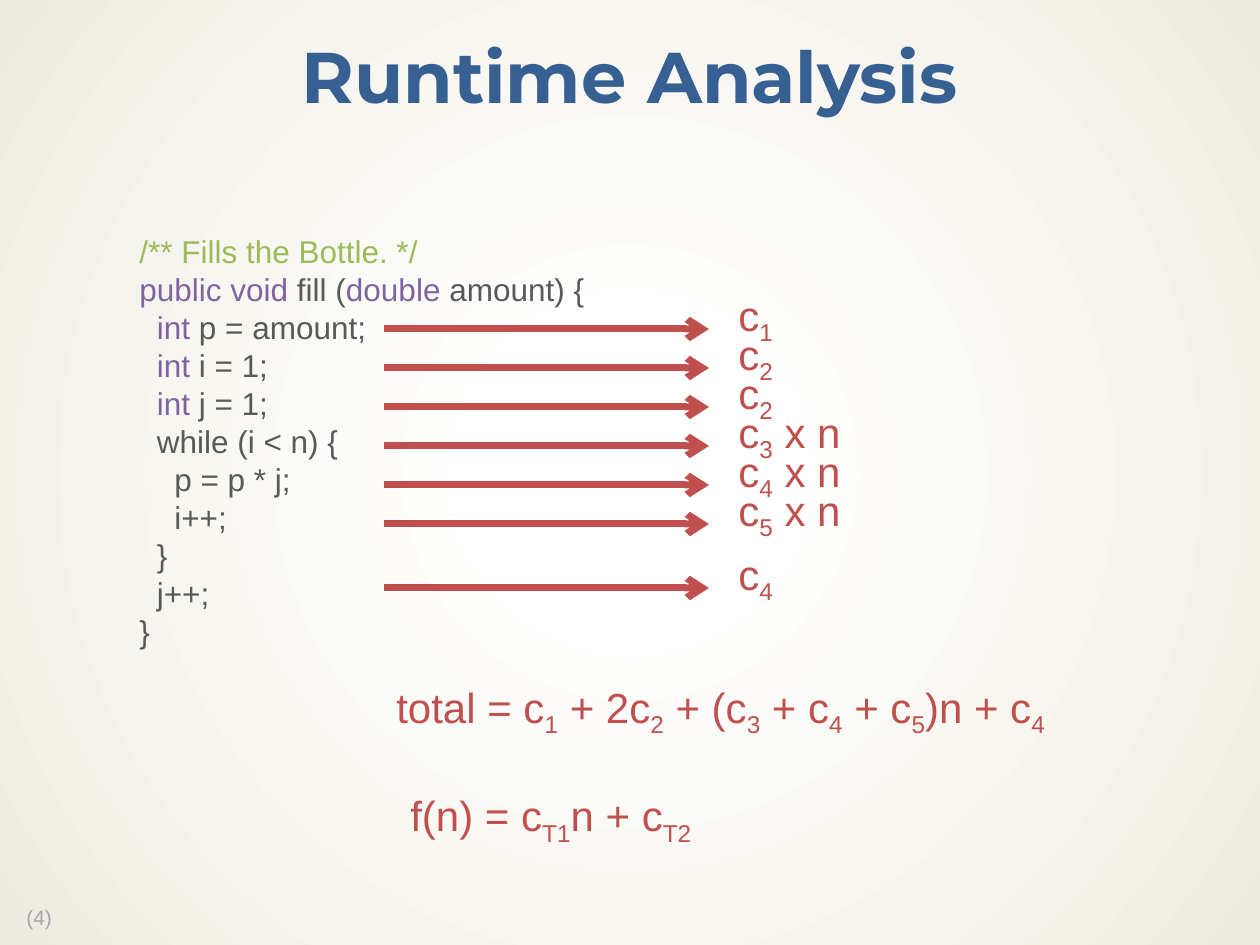
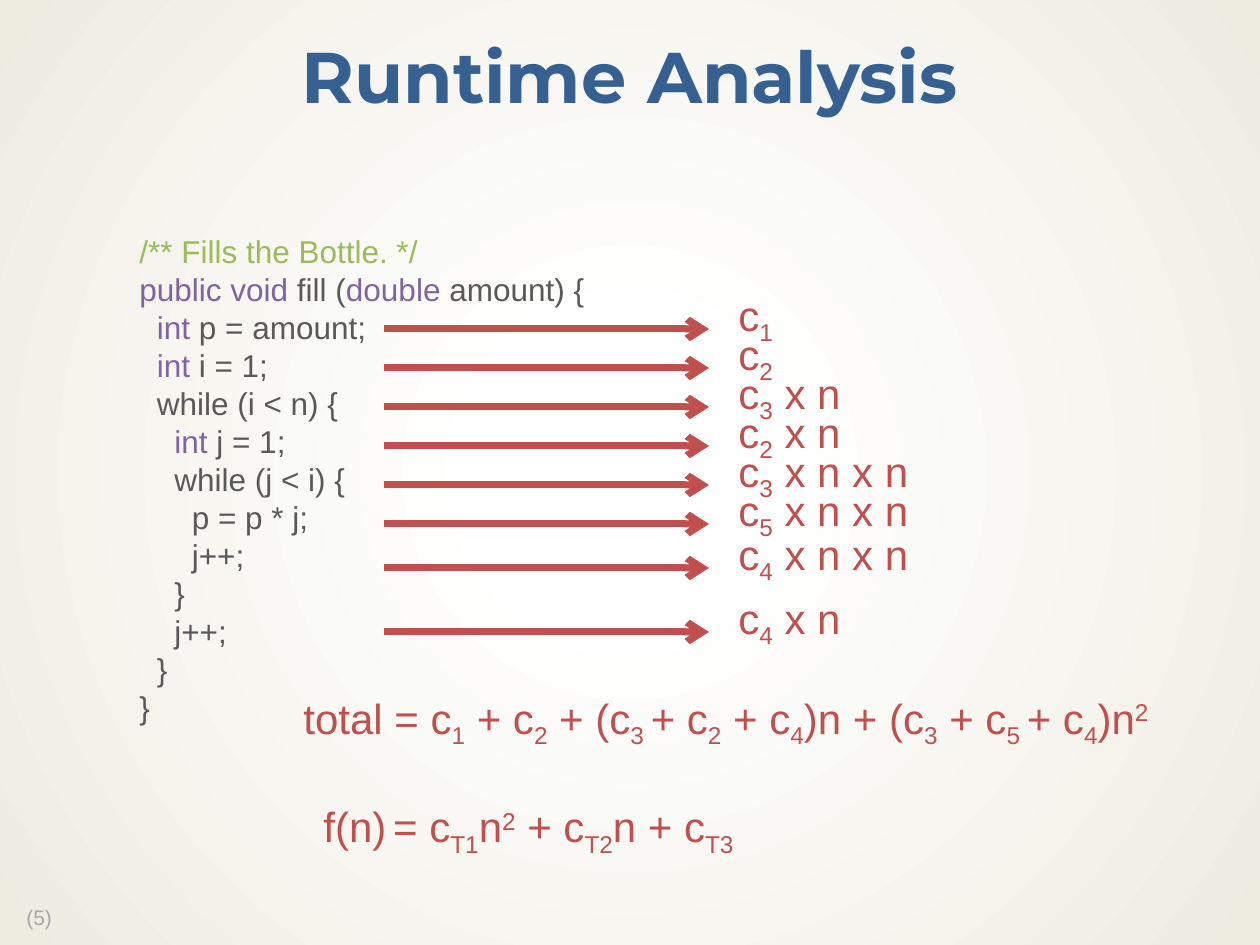
"""Build two Runtime Analysis slides that match code lines to their costs."""
import lxml.etree
import pptx
import pptx.dml.color
import pptx.enum.shapes
import pptx.enum.text
import pptx.oxml.ns
import pptx.util

PX = 914400 / 126
WHITE = pptx.dml.color.RGBColor(0xFF, 0xFF, 0xFF)
CREAM = pptx.dml.color.RGBColor(0xEE, 0xEC, 0xE1)
NAVY = pptx.dml.color.RGBColor(0x37, 0x60, 0x92)
GREY = pptx.dml.color.RGBColor(0xA6, 0xA6, 0xA6)
INK = pptx.dml.color.RGBColor(0x59, 0x59, 0x59)
GREEN = pptx.dml.color.RGBColor(0x9B, 0xBB, 0x59)
PURPLE = pptx.dml.color.RGBColor(0x80, 0x64, 0xA2)
RED = pptx.dml.color.RGBColor(0xC0, 0x50, 0x4D)

TITLE = {"name": "Montserrat", "size": pptx.util.Pt(41), "bold": True}
CODE = {"name": "Arial", "size": pptx.util.Pt(18)}
FORMULA = {"name": "Arial", "size": pptx.util.Pt(24)}
NUMBER = {"name": "Arial", "size": pptx.util.Pt(12)}
CODE_PITCH = pptx.util.Pt(21.7)
FORMULA_PITCH = pptx.util.Pt(28.9)

FIRST_ARROW, ARROW_STEP = 329, 39
ARROW_START, ARROW_END, COST_LEFT = 384, 709, 726

# In code, ~ encloses keywords; in formulas, _ encloses subscripts and _^ superscripts.
SLIDES = [
    {
        "number": "(4)",
        "code": [
            "/** Fills the Bottle. */",
            "~public void~ fill (~double~ amount) {",
            "  ~int ~p = amount;",
            "  ~int ~i = 1;",
            "  ~int ~j = 1;",
            "  while (i < n) {",
            "    p = p * j;",
            "    i++;",
            "  }",
            "  j++;",
            "}",
        ],
        "costs": ["c_1_", "c_2_", "c_2_", "c_3_ x n", "c_4_ x n", "c_5_ x n", "c_4_"],
        "late_arrows": [588],
        "total": "total = c_1_ + 2c_2_ + (c_3_ + c_4_ + c_5_)n + c_4_",
        "function": "f(n) = c_T1_n + c_T2_",
        "sums_box": (384, 682, 720, 165),
        "function_indent": 14,
    },
    {
        "number": "(5)",
        "code": [
            "/** Fills the Bottle. */",
            "~public void~ fill (~double~ amount) {",
            "  ~int ~p = amount;",
            "  ~int ~i = 1;",
            "  while (i < n) {",
            "    ~int ~j = 1;",
            "    while (j < i) {",
            "      p = p * j;",
            "      j++;",
            "    }",
            "    j++;",
            "  }",
            "}",
        ],
        "costs": ["c_1_", "c_2_", "c_3_ x n", "c_2_ x n", "c_3_ x n x n",
                  "c_5_ x n x n", "c_4_ x n x n", "c_4_ x n"],
        "late_arrows": [568, 632],
        "total": "total = c_1_ + c_2_ + (c_3 _+ c_2_ + c_4_)n + (c_3_ + c_5 _+ c_4_)n_^2_",
        "function": "f(n)_ _= c_T1_n_^2_ + c_T2_n + c_T3_",
        "sums_box": (291, 693, 940, 165),
        "function_indent": 20,
    },
]


def add_text_frame(page, left, top, width, height):
    """Add a wrapping text box measured in px and return its text frame."""
    box = page.shapes.add_textbox(*(int(n * PX) for n in (left, top, width, height)))
    box.text_frame.word_wrap = True
    return box.text_frame


def write_spans(para, text, values, color, mark="_", mark_color=None):
    """Write marked text, giving marked spans a colour or a raised or lowered baseline."""
    for index, part in enumerate(text.split(mark)):
        if not part:
            continue
        marked = index % 2 == 1
        span = para.add_run()
        span.text = part.lstrip("^") if marked else part
        for name, value in values.items():
            setattr(span.font, name, value)
        span.font.color.rgb = mark_color if marked and mark_color else color
        if marked and not mark_color:
            baseline = "30000" if part.startswith("^") else "-25000"
            span.font._element.set("baseline", baseline)


deck = pptx.Presentation()
deck.slide_width, deck.slide_height = int(1260 * PX), int(945 * PX)

backdrop = deck.slide_master.background.fill
backdrop.gradient()
for stop, (position, color) in zip(backdrop.gradient_stops, [(0.18, WHITE), (1, CREAM)]):
    stop.position = position
    stop.color.rgb = color
qn = pptx.oxml.ns.qn
linear = next(deck.slide_master.element.iter(qn("a:lin")))
radial = lxml.etree.Element(qn("a:path"), path="circle")
lxml.etree.SubElement(radial, qn("a:fillToRect"), l="50000", t="50000", r="50000", b="50000")
linear.getparent().replace(linear, radial)

for content in SLIDES:
    page = deck.slides.add_slide(deck.slide_layouts[5])

    title = page.shapes.title
    title.left, title.top, title.width, title.height = (int(n * PX) for n in (0, 21, 1260, 118))
    title.text_frame.auto_size = pptx.enum.text.MSO_AUTO_SIZE.NONE
    title.text_frame.vertical_anchor = pptx.enum.text.MSO_ANCHOR.MIDDLE
    para = title.text_frame.paragraphs[0]
    para.alignment = pptx.enum.text.PP_ALIGN.CENTER
    para.line_spacing = 0.9
    write_spans(para, "Runtime Analysis", TITLE, NAVY)

    frame = add_text_frame(page, 14, 901, 90, 35)
    para = frame.paragraphs[0]
    para.line_spacing = 0.9
    write_spans(para, content["number"], NUMBER, GREY)

    frame = add_text_frame(page, 127, 226, 475, 38 * len(content["code"]) + 14)
    for index, line in enumerate(content["code"]):
        para = frame.add_paragraph() if index else frame.paragraphs[0]
        para.line_spacing = CODE_PITCH
        color = GREEN if line.startswith("/**") else INK
        write_spans(para, line, CODE, color, "~", PURPLE)

    arrow_rows = [FIRST_ARROW + ARROW_STEP * row for row in range(6)] + content["late_arrows"]
    for y, cost in zip(arrow_rows, content["costs"]):
        ends = (int(n * PX) for n in (ARROW_START, y, ARROW_END, y))
        arrow = page.shapes.add_connector(pptx.enum.shapes.MSO_CONNECTOR.STRAIGHT, *ends)
        arrow.line.color.rgb = RED
        arrow.line.width = pptx.util.Pt(4)
        lxml.etree.SubElement(arrow.line._get_or_add_ln(), qn("a:tailEnd"), type="arrow")
        lxml.etree.SubElement(arrow._element.spPr, qn("a:effectLst"))

        frame = add_text_frame(page, COST_LEFT, y - 39, 215, 63)
        frame.paragraphs[0].line_spacing = FORMULA_PITCH
        write_spans(frame.paragraphs[0], cost, FORMULA, RED)

    frame = add_text_frame(page, *content["sums_box"])
    total, function = frame.paragraphs[0], frame.add_paragraph()
    for para, text in [(total, content["total"]), (function, content["function"])]:
        para.line_spacing = FORMULA_PITCH
        write_spans(para, text, FORMULA, RED)
    function.space_before = pptx.util.Pt(33)
    indent = int(content["function_indent"] * PX)
    function._p.get_or_add_pPr().set("marL", str(indent))

deck.save("out.pptx")
